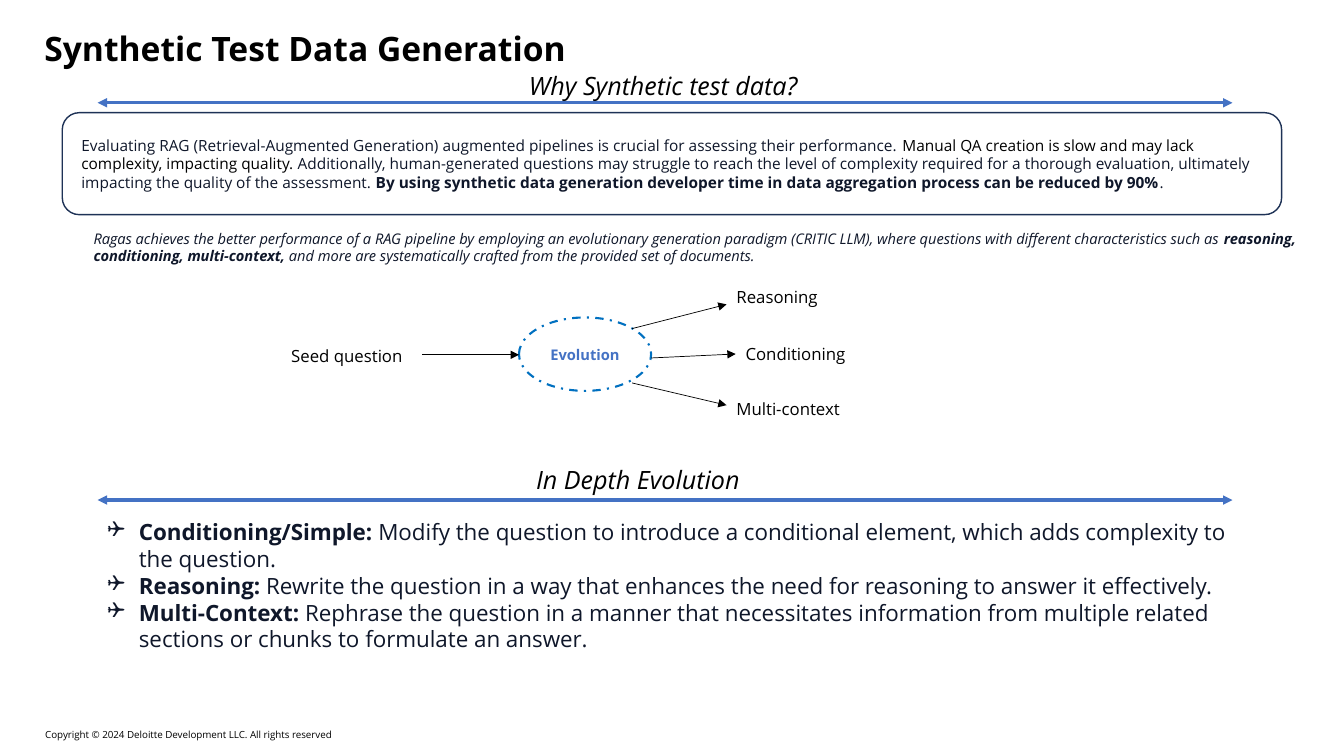
import pptx
import pptx.util
import pptx.dml.color
import pptx.enum.dml
import pptx.enum.shapes
import pptx.enum.text
from lxml import etree

Cm, Pt = pptx.util.Cm, pptx.util.Pt

# Content: each run is (text, style letters, colour)
BLACK, INK, BLUE, NAVY, OUTLINE = "000000", "0F172A", "4472C4", "1E3256", "0070C0"
FONT = "Open Sans"
TITLE = "Synthetic Test Data Generation"
COPYRIGHT = "Copyright © 2024 Deloitte Development LLC. All rights reserved"
# Section heading, left, top, width, divider height
SECTIONS = [
    ("Why Synthetic test data?", 13.08, 1.65, 7.34, 2.59),
    ("In Depth Evolution", 13.26, 11.58, 5.72, 12.6),
]
MOTIVATION = [
    ("Evaluating RAG (Retrieval-Augmented Generation) augmented pipelines is crucial "
     "for assessing their performance. ", "", INK),
    ("Manual QA creation is slow and may lack complexity, impacting quality. ", "", BLACK),
    ("Additionally, human-generated questions may struggle to reach the level of "
     "complexity required for a thorough evaluation, ultimately impacting the quality "
     "of the assessment. ", "", INK),
    ("By using synthetic data generation developer time in data aggregation process "
     "can be reduced by 90%", "b", INK),
    (".", "", INK),
]
PARADIGM = [
    ("Ragas achieves the better performance of a RAG pipeline by employing an "
     "evolutionary generation paradigm (CRITIC LLM), where questions with different "
     "characteristics such as ", "i", INK),
    ("reasoning, conditioning, multi-context, ", "bi", INK),
    ("and more are systematically crafted from the provided set of documents.", "i", INK),
]
SEED = "Seed question"
HUB = "Evolution"
# Outcome, label top, arrow start, arrow end
OUTCOMES = [
    ("Reasoning", 7.09, (15.93, 8.28), (18.31, 7.67)),
    ("Conditioning", 8.53, (16.41, 9.02), (18.54, 8.92)),
    ("Multi-context", 9.93, (15.93, 9.65), (18.31, 10.21)),
]
EVOLUTIONS = [
    ("Conditioning/Simple:", " Modify the question to introduce a conditional element, "
     "which adds complexity to the question."),
    ("Reasoning:", " Rewrite the question in a way that enhances the need for reasoning "
     "to answer it effectively."),
    ("Multi-Context:", " Rephrase the question in a manner that necessitates information "
     "from multiple related sections or chunks to formulate an answer."),
]
DIVIDER_LEFT, DIVIDER_RIGHT = 2.46, 31.06
HUB_LEFT, HUB_TOP, HUB_WIDTH, HUB_HEIGHT = 13.08, 8, 3.33, 1.85
SEED_Y = 8.94
LABEL_HEIGHT = 0.76
BULLET_INDENT = 0.79

deck = pptx.Presentation()
deck.slide_width, deck.slide_height = Cm(33.87), Cm(19.05)
slide = deck.slides.add_slide(deck.slide_layouts[6])


def colour(value):
    return pptx.dml.color.RGBColor.from_string(value)


def child(parent, tag, **attributes):
    return etree.SubElement(parent, pptx.oxml.ns.qn(tag), attributes)


def write(paragraph, runs, size):
    for text, style, ink in runs:
        run = paragraph.add_run()
        run.text = text
        run.font.name, run.font.size = FONT, Pt(size)
        run.font.bold, run.font.italic = "b" in style, "i" in style
        run.font.color.rgb = colour(ink)


def add_text(left, top, width, height, paragraphs, size, inset=True, wrap=True, bullet=None):
    frame = slide.shapes.add_textbox(Cm(left), Cm(top), Cm(width), Cm(height)).text_frame
    frame.word_wrap = wrap
    if not inset:
        frame.margin_left = frame.margin_right = frame.margin_top = frame.margin_bottom = 0
    for index, runs in enumerate(paragraphs):
        paragraph = frame.add_paragraph() if index else frame.paragraphs[0]
        if bullet:
            properties = paragraph._p.get_or_add_pPr()
            properties.set("marL", str(Cm(BULLET_INDENT)))
            properties.set("indent", str(-Cm(BULLET_INDENT)))
            child(properties, "a:buFont", typeface="Wingdings")
            child(properties, "a:buChar", char=bullet)
        write(paragraph, runs, size)


def add_outline(kind, left, top, width, height, line, weight):
    shape = slide.shapes.add_shape(kind, Cm(left), Cm(top), Cm(width), Cm(height))
    shape.shadow.inherit = False
    shape.fill.background()
    shape.line.color.rgb = colour(line)
    shape.line.width = Pt(weight)
    return shape


def add_arrow(start, end, line, weight, both_ends=False):
    arrow = slide.shapes.add_connector(
        pptx.enum.shapes.MSO_CONNECTOR.STRAIGHT, *(Cm(value) for value in start + end))
    arrow.line.color.rgb = colour(line)
    arrow.line.width = Pt(weight)
    stroke = arrow.line._get_or_add_ln()
    if both_ends:
        child(stroke, "a:headEnd", type="triangle")
    child(stroke, "a:tailEnd", type="triangle")
    child(arrow._element.spPr, "a:effectLst")


# Title and footer
add_text(1.12, 0.71, 31.65, 1.02, [[(TITLE, "b", BLACK)]], 24, inset=False)
add_text(1.14, 18.36, 11.84, 0.3, [[(COPYRIGHT, "", BLACK)]], 7, inset=False)

# Section headings over their dividers
for heading, left, top, width, divider_y in SECTIONS:
    add_arrow((DIVIDER_LEFT, divider_y), (DIVIDER_RIGHT, divider_y), BLUE, 2.25, both_ends=True)
    add_text(left, top, width, 1.02, [[(heading, "i", BLACK)]], 18, wrap=False)

# Motivation panel and paradigm note
add_outline(pptx.enum.shapes.MSO_SHAPE.ROUNDED_RECTANGLE, 1.57, 2.84, 30.73, 2.57, NAVY, 1)
add_text(1.8, 3.3, 30.25, 1.68, [MOTIVATION], 11)
add_text(2.11, 5.66, 31.19, 1.14, [PARADIGM], 10.5)

# Evolution diagram
hub = add_outline(pptx.enum.shapes.MSO_SHAPE.OVAL,
                  HUB_LEFT, HUB_TOP, HUB_WIDTH, HUB_HEIGHT, OUTLINE, 1.5)
hub.line.dash_style = pptx.enum.dml.MSO_LINE.DASH_DOT
hub.text_frame.vertical_anchor = pptx.enum.text.MSO_ANCHOR.MIDDLE
hub_line = hub.text_frame.paragraphs[0]
hub_line.alignment = pptx.enum.text.PP_ALIGN.CENTER
write(hub_line, [(HUB, "b", BLUE)], 10.5)

add_text(7.09, 8.59, 4.39, LABEL_HEIGHT, [[(SEED, "", BLACK)]], 12)
add_arrow((10.64, SEED_Y), (HUB_LEFT, SEED_Y), BLACK, 0.5)
for outcome, top, start, tip in OUTCOMES:
    add_arrow(start, tip, BLACK, 0.5)
    add_text(tip[0], top, 3.63, LABEL_HEIGHT, [[(outcome, "", BLACK)]], 12)

# Evolution types
add_text(DIVIDER_LEFT, 12.93, 28.91, 3.68,
         [[(name, "b", INK), (detail, "", INK)] for name, detail in EVOLUTIONS],
         16, bullet="❑")

deck.save("out.pptx")
